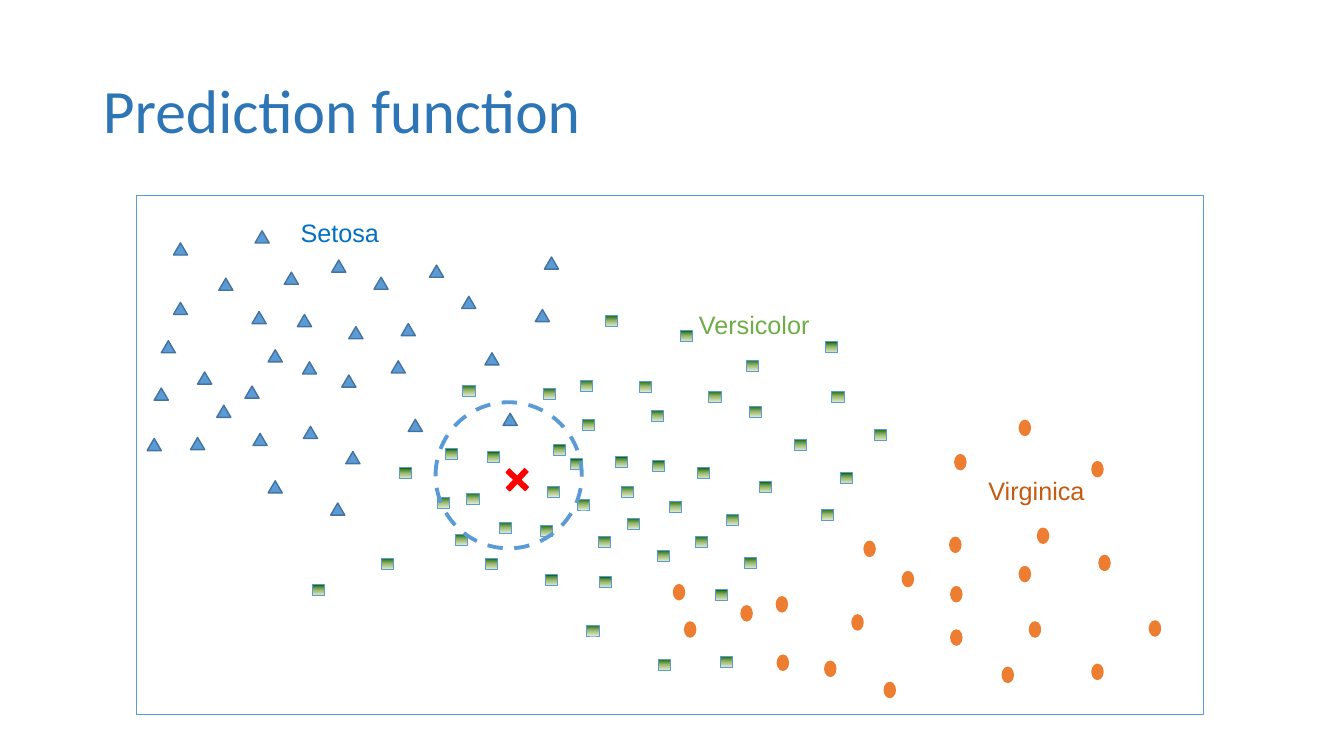
from copy import deepcopy

from pptx import Presentation
from pptx.dml.color import RGBColor
from pptx.enum.dml import MSO_LINE_DASH_STYLE as Dash
from pptx.enum.shapes import MSO_SHAPE as Shape
from pptx.enum.text import MSO_ANCHOR as Anchor, MSO_AUTO_SIZE as AutoSize, PP_ALIGN as Align
from pptx.util import Inches, Pt

COLORS = {
    "title": "2E75B6",
    "outline": "5B9BD5",
    "setosa": "5B9BD5",
    "setosa_edge": "43739E",
    "setosa_label": "0070C0",
    "versicolor_label": "70AD47",
    "virginica": "ED7D31",
    "virginica_label": "C55A11",
    "query": "FF0000",
    "light_green": "DDEBCF",
    "mid_green": "9CB86E",
    "dark_green": "156B13",
}
VERSICOLOR_STOPS = [(0, "light_green"), (0.5, "mid_green"), (1, "dark_green")]

# Left and top of each flower's marker, in inches
SETOSA = [
    (2.17, 2.76), (1.72, 3), (2.5, 3.09), (1.6, 3.38), (4.81, 3.5), (2.82, 2.7),
    (1.72, 2.41), (2.43, 3.83), (1.96, 3.69), (2.66, 3.47), (2.53, 2.29), (1.53, 3.85),
    (3.01, 4.23), (3.46, 3.24), (1.46, 4.35), (2.95, 3.12), (2.15, 4.02), (1.89, 4.34),
    (2.51, 4.3), (3.39, 3.72), (3.29, 2.58), (2.66, 4.77), (3.28, 4.99), (3.71, 2.75),
    (3, 3.59), (3.43, 4.48), (4.05, 4.16), (3.98, 3.21), (4.26, 2.63), (4.58, 2.94),
    (3.88, 3.58), (5.4, 2.55), (5.31, 3.07), (4.99, 4.1),
]
VERSICOLOR = [
    (5.43, 4.82), (5.36, 5.21), (4.95, 5.18), (5.66, 4.55), (6.22, 5.14), (7.09, 5.85),
    (6.16, 4.82), (5.41, 5.7), (4.63, 4.89), (4.83, 4.48), (4.81, 5.54), (6.1, 4.53),
    (5.49, 4.41), (5.94, 5.72), (4.52, 5.3), (4.42, 4.45), (4.34, 4.93), (5.78, 4.16),
    (6.52, 5.46), (6.92, 4.64), (6.64, 4.97), (6.47, 4.57), (6.46, 4.07), (3.78, 5.54),
    (8.19, 3.39), (6.9, 5.32), (5.73, 4.95), (5.93, 5.32), (7.38, 5.53), (6.75, 3.28),
    (7.53, 4.78), (3.1, 5.8), (8.33, 4.69), (7.2, 5.1), (7.43, 4.03), (8.67, 4.26),
    (3.96, 4.64), (8.15, 5.05), (7.88, 4.36), (4.59, 3.82), (5.76, 3.77), (5.39, 3.85),
    (6.34, 3.78), (6, 3.13), (5.82, 6.2), (7.03, 3.88), (6.53, 6.54), (8.25, 3.88),
    (7.14, 6.51), (7.4, 3.57),
]
VIRGINICA = [
    (9.43, 5.82), (10.11, 4.17), (9.43, 6.25), (11.4, 6.16), (7.35, 6.01), (10.11, 5.62),
    (7.7, 5.92), (8.95, 5.67), (10.21, 6.17), (7.71, 6.5), (9.94, 6.62), (6.79, 6.17),
    (10.83, 6.59), (10.9, 5.51), (8.45, 6.1), (9.42, 5.33), (10.29, 5.24), (6.68, 5.8),
    (8.18, 6.56), (10.83, 4.58), (8.57, 5.37), (9.47, 4.51), (8.77, 6.77),
]


def color(name):
    return RGBColor.from_string(COLORS[name])


def write(frame, text, *, size, font, fill, align):
    para = frame.paragraphs[0]
    para.alignment = align
    span = para.add_run()
    span.text = text
    span.font.size = Pt(size)
    span.font.name = font
    span.font.color.rgb = color(fill)
    return para


def fill_gradient(shape, stops, angle):
    """Fill with any number of (position, colour name) stops; angle is counter-clockwise."""
    shape.fill.gradient()
    shape.fill.gradient_angle = angle
    stop_list = shape._element.spPr.gradFill.gsLst
    for _ in range(len(stops) - len(stop_list)):
        stop_list.append(deepcopy(stop_list[-1]))
    for stop, (position, name) in zip(shape.fill.gradient_stops, stops):
        stop.position = position
        stop.color.rgb = color(name)


class ScatterSlide:
    label_font = "Arial"
    title_font = "Calibri"

    def __init__(self, deck):
        self.slide = deck.slides.add_slide(deck.slide_layouts[5])

    def title(self, text, left, top, width, height):
        box = self.slide.shapes.title
        box.left, box.top = Inches(left), Inches(top)
        box.width, box.height = Inches(width), Inches(height)
        frame = box.text_frame
        frame.auto_size = AutoSize.NONE
        frame.vertical_anchor = Anchor.MIDDLE
        para = write(frame, text, size=44, font=self.title_font, fill="title", align=Align.LEFT)
        para.line_spacing = 0.9

    def shape(self, kind, left, top, width, height, *, line, weight, fill=None):
        shape = self.slide.shapes.add_shape(
            kind, Inches(left), Inches(top), Inches(width), Inches(height))
        shape.shadow.inherit = False
        shape.line.color.rgb = color(line)
        shape.line.width = Pt(weight)
        if fill is None:
            shape.fill.background()
        elif isinstance(fill, list):
            fill_gradient(shape, fill, 90)
        else:
            shape.fill.solid()
            shape.fill.fore_color.rgb = color(fill)
        return shape

    def markers(self, kind, points, width, height, **style):
        for left, top in points:
            self.shape(kind, left, top, width, height, **style)

    def label(self, text, left, top, width, fill):
        box = self.slide.shapes.add_textbox(
            Inches(left), Inches(top), Inches(width), Inches(0.4))
        box.text_frame.word_wrap = True
        box.text_frame.auto_size = AutoSize.SHAPE_TO_FIT_TEXT
        write(box.text_frame, text, size=18, font=self.label_font, fill=fill, align=Align.CENTER)


def main():
    deck = Presentation()
    deck.slide_width, deck.slide_height = Inches(13.33), Inches(7.5)
    page = ScatterSlide(deck)

    page.title("Prediction function", 0.92, 0.4, 11.5, 1.45)
    page.markers(Shape.RECTANGLE, VERSICOLOR, 0.12, 0.11,
                 fill=VERSICOLOR_STOPS, line="outline", weight=0.5)
    page.shape(Shape.RECTANGLE, 1.35, 1.94, 10.59, 5.15, line="outline", weight=0.5)
    page.markers(Shape.ISOSCELES_TRIANGLE, SETOSA, 0.14, 0.12,
                 fill="setosa", line="setosa_edge", weight=1)
    page.markers(Shape.OVAL, VIRGINICA, 0.11, 0.15,
                 fill="virginica", line="virginica", weight=1)

    neighbourhood = page.shape(Shape.OVAL, 4.32, 3.99, 1.45, 1.45, line="outline", weight=2.75)
    neighbourhood.line.dash_style = Dash.DASH
    query = page.shape(Shape.CROSS, 5, 4.63, 0.26, 0.26, fill="query", line="query", weight=1)
    query.adjustments[0] = 0.411
    query.rotation = 43.7

    page.label("Setosa", 2.48, 2.11, 1.78, "setosa_label")
    page.label("Versicolor", 6.72, 3.02, 1.52, "versicolor_label")
    page.label("Virginica", 9.16, 4.67, 2.24, "virginica_label")
    deck.save("out.pptx")


if __name__ == "__main__":
    main()
